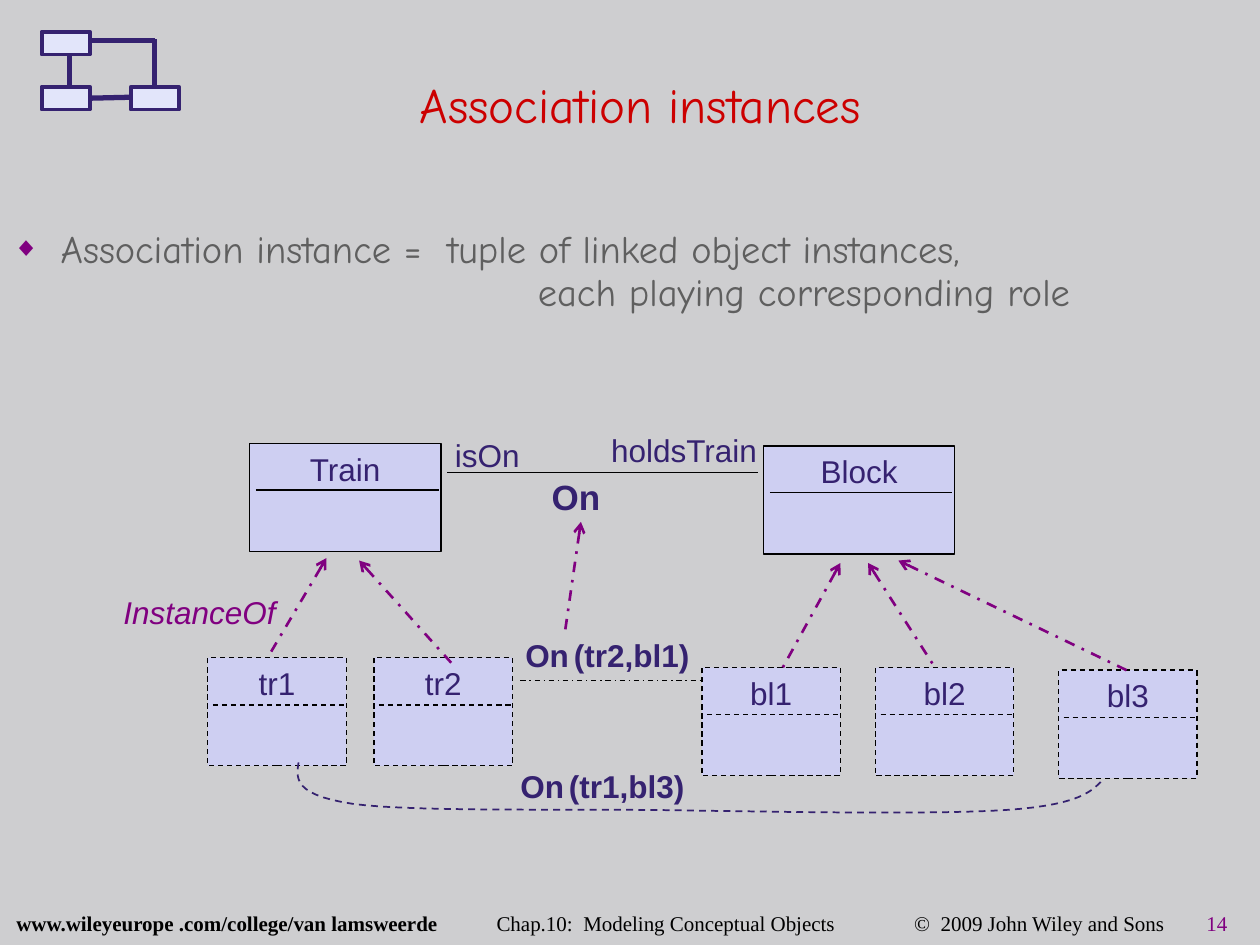
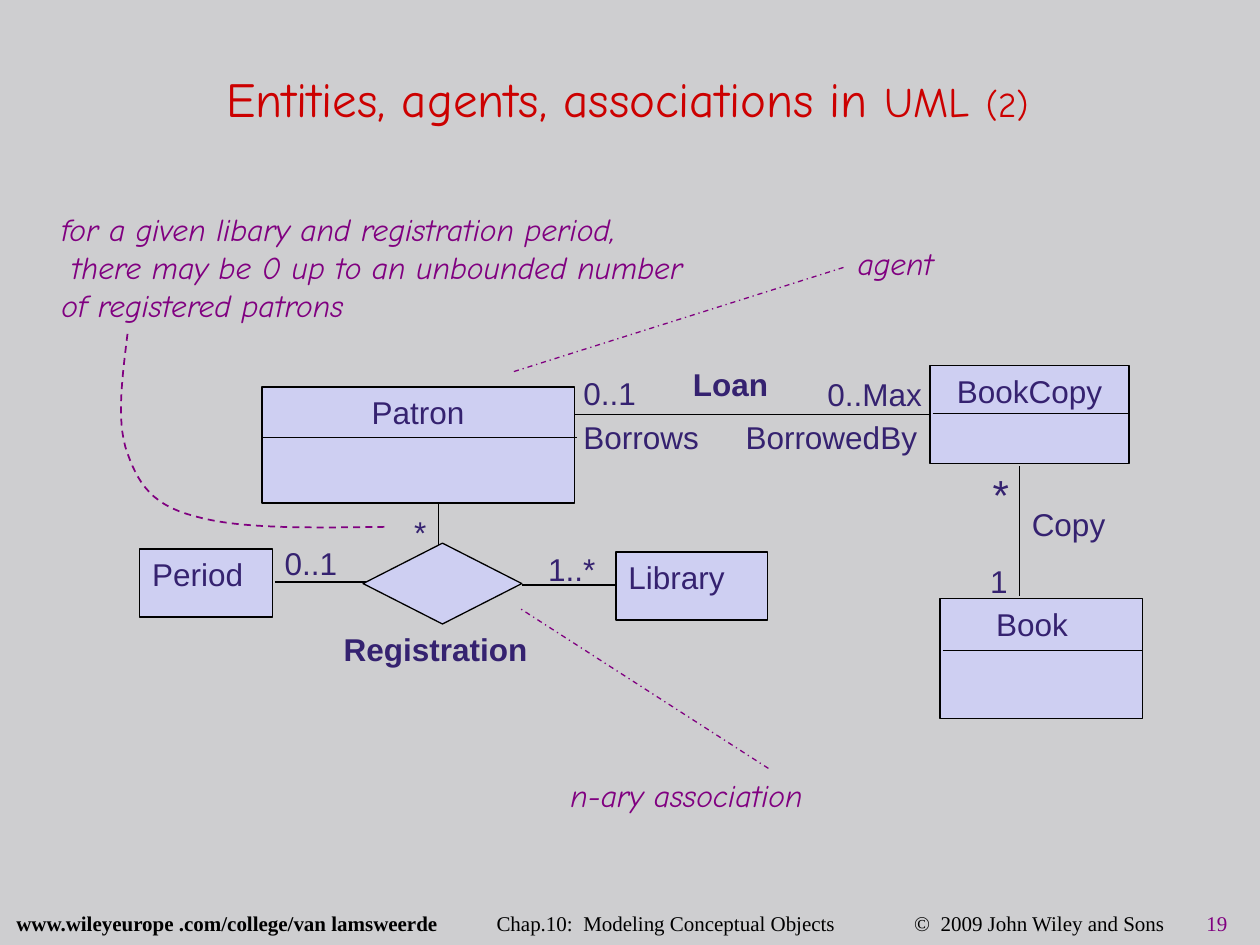
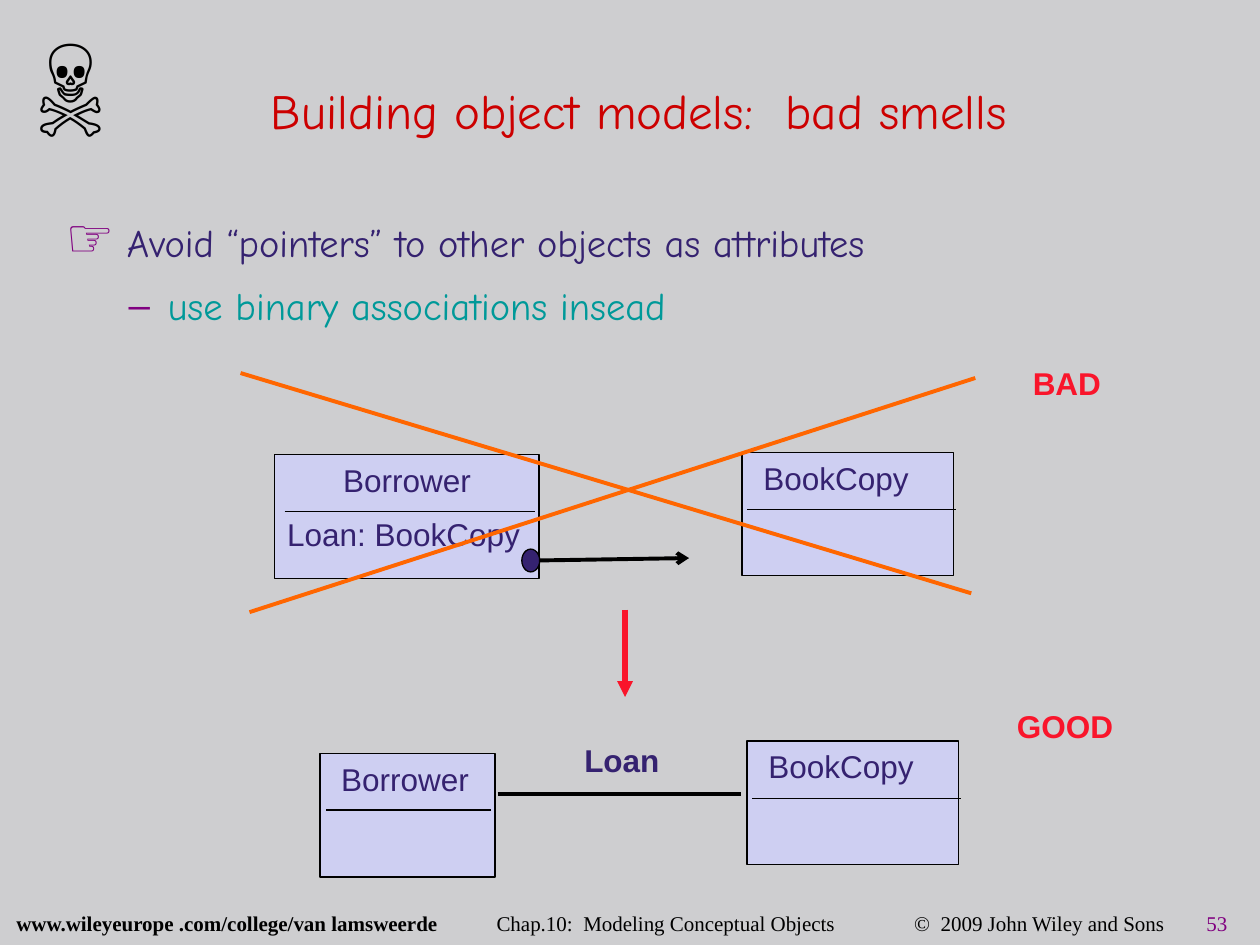
import pptx
import pptx.dml.color
import pptx.enum.dml
import pptx.enum.shapes
import pptx.enum.text
import pptx.oxml
import pptx.oxml.ns
import pptx.util

COLORS = {
    "background": "CECED0", "title": "CC0000", "ink": "352270", "box": "CECFF2",
    "icon": "E2E5FA", "accent": "800080", "grey": "5F5F5F", "teal": "009999",
    "cross": "FF6600", "alert": "F9152B", "black": "000000",
}
DIAGRAM, HAND, SERIF = "Arial", "Comic Neue", "Times New Roman"
FOOTER_TABS = (9.68, 18.1, 23.99)
SHAPES = pptx.enum.shapes.MSO_SHAPE
DASH = pptx.enum.dml.MSO_LINE.DASH
DASH_DOT = pptx.enum.dml.MSO_LINE.DASH_DOT
CENTER = pptx.enum.text.PP_ALIGN.CENTER
MIDDLE = pptx.enum.text.MSO_ANCHOR.MIDDLE
TOP = pptx.enum.text.MSO_ANCHOR.TOP


def cm(*values):
    return [pptx.util.Cm(value) for value in values]


def color(name):
    return pptx.dml.color.RGBColor.from_string(COLORS[name])


def add_element(parent, tag, **attributes):
    element = pptx.oxml.ns.qn("a:" + tag)
    child = parent.makeelement(element, attributes)
    parent.append(child)
    return child


# Text
def add_run(paragraph, text, size=18, font=DIAGRAM, ink="ink", bold=False, italic=False):
    run = paragraph.add_run()
    run.text = text
    run.font.size = pptx.util.Pt(size)
    run.font.name = font
    run.font.color.rgb = color(ink)
    run.font.bold = bold
    run.font.italic = italic


def set_indent(paragraph, left, first=0):
    properties = paragraph._p.get_or_add_pPr()
    properties.set("marL", str(pptx.util.Cm(left)))
    properties.set("indent", str(pptx.util.Cm(first)))


def set_bullet(paragraph, char=None, percent=100):
    properties = paragraph._p.get_or_add_pPr()
    if char is None:
        add_element(properties, "buNone")
        return
    add_element(add_element(properties, "buClr"), "srgbClr", val=COLORS["accent"])
    add_element(properties, "buSzPct", val=str(percent * 1000))
    add_element(properties, "buChar", char=char)


def set_spacing(paragraph, lines, before=0):
    paragraph.line_spacing = lines
    paragraph.space_before = pptx.util.Pt(before)


def add_text_area(slide, left, top, width, height):
    frame = slide.shapes.add_textbox(*cm(left, top, width, height)).text_frame
    frame.word_wrap = True
    return frame


def add_label(slide, left, top, width, *pieces, **style):
    """Each piece is a string or a (string, size) pair."""
    frame = add_text_area(slide, left, top, width, 1.15)
    frame.margin_right = 0
    for piece in pieces:
        text, size = piece if isinstance(piece, tuple) else (piece, style.get("size", 18))
        add_run(frame.paragraphs[0], text, **{**style, "size": size})


def place_placeholder(placeholder, left, top, width, height):
    placeholder.left, placeholder.top, placeholder.width, placeholder.height = cm(
        left, top, width, height)
    frame = placeholder.text_frame
    frame.auto_size = pptx.enum.text.MSO_AUTO_SIZE.NONE
    frame.vertical_anchor = MIDDLE
    return frame


def set_title(slide, area, *pieces, lines=1.0):
    heading = place_placeholder(slide.shapes.title, *area).paragraphs[0]
    heading.alignment = CENTER
    heading.line_spacing = lines
    for text, size in pieces:
        add_run(heading, text, size, HAND, "title")


# Shapes and lines
def style_line(line, ink="black", weight=0.75, dash=None):
    line.color.rgb = color(ink)
    line.width = pptx.util.Pt(weight)
    if dash:
        line.dash_style = dash


def add_box(slide, left, top, width, height, kind=SHAPES.RECTANGLE, fill="box", **line):
    box = slide.shapes.add_shape(kind, *cm(left, top, width, height))
    box.shadow.inherit = False
    box.fill.solid()
    box.fill.fore_color.rgb = color(fill)
    style_line(box.line, **line)
    box.text_frame.vertical_anchor = TOP
    return box


def add_link(slide, x1, y1, x2, y2, head=None, tail=None, **line):
    link = slide.shapes.add_connector(
        pptx.enum.shapes.MSO_CONNECTOR.STRAIGHT, *cm(x1, y1, x2, y2))
    style_line(link.line, **line)
    outline = link.line._get_or_add_ln()
    for end, arrow in (("headEnd", head), ("tailEnd", tail)):
        if arrow:
            add_element(outline, end, type=arrow)
    add_element(link._element.spPr, "effectLst")


def add_class(slide, left, top, width, height, name, divider=None, indent=None,
              attribute=None, dash=None):
    """divider is (distance from top, left inset, right inset);
    a name with an indent is left aligned, otherwise it is centred."""
    frame = add_box(slide, left, top, width, height, dash=dash).text_frame
    heading = frame.paragraphs[0]
    heading.alignment = CENTER if indent is None else pptx.enum.text.PP_ALIGN.LEFT
    set_indent(heading, indent or 0)
    add_run(heading, name)
    if attribute:
        entry = frame.add_paragraph()
        entry.alignment = pptx.enum.text.PP_ALIGN.LEFT
        entry.space_before = pptx.util.Pt(9)
        add_run(entry, attribute)
    if divider:
        drop, inset_left, inset_right = divider
        add_link(slide, left + inset_left, top + drop,
                 left + width - inset_right, top + drop, dash=dash)


def add_curve(slide, start, segments, steps=14, **line):
    """Draw cubic segments, each given as two control points and an end."""
    points, (x0, y0) = [], start
    for x1, y1, x2, y2, x3, y3 in segments:
        for step in range(1, steps + 1):
            t = step / steps
            weights = ((1 - t) ** 3, 3 * t * (1 - t) ** 2, 3 * t * t * (1 - t), t ** 3)
            points.append(cm(sum(w * x for w, x in zip(weights, (x0, x1, x2, x3))),
                             sum(w * y for w, y in zip(weights, (y0, y1, y2, y3)))))
        x0, y0 = x3, y3
    builder = slide.shapes.build_freeform(*cm(*start))
    builder.add_line_segments(points, close=False)
    curve = builder.convert_to_shape()
    curve.shadow.inherit = False
    curve.fill.background()
    style_line(curve.line, **line)


def add_footer(slide, number):
    footer = add_text_area(slide, 0.08, 18.36, 25.32, 0.61).paragraphs[0]
    tabs = add_element(footer._p.get_or_add_pPr(), "tabLst")
    for position in FOOTER_TABS:
        add_element(tabs, "tab", pos=str(pptx.util.Cm(position)), algn="l")
    set_spacing(footer, 0.7)
    add_run(footer, "www.wileyeurope .com/college/van lamsweerde", 12, SERIF, "black", bold=True)
    add_run(footer, "\tChap.10:  Modeling Conceptual Objects", 12, SERIF, "black")
    add_run(footer, "\t©  2009 John Wiley and Sons\t", 12, SERIF, "black")
    add_run(footer, str(number), 12, SERIF, "accent")


def new_slide(deck, layout, number):
    slide = deck.slides.add_slide(deck.slide_layouts[layout])
    add_footer(slide, number)
    return slide


# Slide: association instances
def add_model_icon(slide):
    for left, top in ((0.84, 0.64), (2.64, 1.75), (0.84, 1.75)):
        add_box(slide, left, top, 0.97, 0.46, fill="icon", ink="ink", weight=2.25)
    for ends in ((1.78, 1.98, 2.64, 1.96), (3.12, 1.73, 3.12, 0.79),
                 (1.83, 0.81, 3.12, 0.81), (1.4, 1.78, 1.4, 1.07)):
        add_link(slide, *ends, ink="ink", weight=3)


def build_instances(deck):
    slide = new_slide(deck, 1, 14)
    set_title(slide, (0.89, 1.04, 24.03, 2.11), ("Association instances", 28))
    body = place_placeholder(slide.placeholders[1], 0, 3.1, 24.23, 4.19)
    definition = body.paragraphs[0]
    set_indent(definition, 0.97, -0.97)
    set_bullet(definition, "◆", 70)
    set_spacing(definition, 1.5)
    add_run(definition, "Association instance =  tuple of linked object instances,",
            22, HAND, "grey")
    roles = body.add_paragraph()
    roles.level = 1
    set_indent(roles, 10.59)
    set_bullet(roles)
    set_spacing(roles, 0.7, 5.5)
    add_run(roles, "each playing corresponding role", 22, HAND, "grey")

    # Objects and the links between them
    for name, left, top in (("tr1", 4.19, 13.26), ("tr2", 7.54, 13.26), ("bl1", 14.15, 13.46),
                            ("bl2", 17.65, 13.46), ("bl3", 21.34, 13.51)):
        add_class(slide, left, top, 2.79, 2.18, name, (0.95, 0.1, 0.03), dash=DASH)
    add_link(slide, 10.49, 13.72, 14.12, 13.72, dash=DASH_DOT)
    add_curve(slide, (6.02, 15.37), (
        (5.97, 15.7, 5.92, 16.03, 7.14, 16.21), (8.33, 16.36, 11.07, 16.31, 13.26, 16.33),
        (15.44, 16.36, 18.77, 16.43, 20.27, 16.33), (21.77, 16.23, 22.02, 15.95, 22.25, 15.7),
    ), ink="ink", weight=1, dash=DASH)
    for left, top, members in ((10.34, 12.7, "(tr2,bl1)"), (10.24, 15.34, "(tr1,bl3)")):
        add_label(slide, left, top, 4.09, "On", (" ", 10), members, bold=True)

    # Classes and their association
    for name, left, top in (("Train", 5.03, 8.94), ("Block", 15.39, 8.99)):
        add_class(slide, left, top, 3.86, 2.18, name, (0.94, 0.13, 0.05))
    add_link(slide, 9.02, 9.53, 15.29, 9.53)
    add_label(slide, 10.87, 9.47, 1.75, "On", size=20, bold=True)
    add_label(slide, 8.92, 8.66, 1.98, "isOn")
    add_label(slide, 12.07, 8.56, 3.68, "holdsTrain")

    # Instance-of arrows, from class to object
    for ends in ((6.58, 11.25, 5.44, 13.18), (7.24, 11.3, 9.14, 13.41),
                 (18.11, 11.3, 22.71, 13.51), (17.5, 11.35, 18.87, 13.49),
                 (16.94, 11.35, 15.75, 13.51), (11.71, 10.52, 11.38, 12.8)):
        add_link(slide, *ends, head="arrow", ink="accent", weight=1.5, dash=DASH_DOT)
    add_label(slide, 2.24, 11.84, 4.04, "InstanceOf", ink="accent", italic=True)
    add_model_icon(slide)


# Slide: entities, agents, associations
def build_uml(deck):
    slide = new_slide(deck, 5, 19)
    set_title(slide, (0.43, 0.84, 24.43, 2.26), ("Entities, agents, associations in ", 28),
              ("UML", 24), (" ", 28), ("(2)", 20))

    # Associations
    for ends in ((10.52, 11.79, 12.55, 11.79), (5.54, 11.73, 7.57, 11.73),
                 (8.84, 9.17, 8.84, 11.15), (20.55, 9.4, 20.55, 12.01),
                 (11.53, 8.36, 18.72, 8.36)):
        add_link(slide, *ends)
    add_box(slide, 7.32, 10.95, 3.2, 1.63, SHAPES.FLOWCHART_DECISION)

    # Classes
    add_class(slide, 18.75, 7.37, 4.01, 1.98, "BookCopy", (0.97, 0.05, -0.02))
    add_class(slide, 18.95, 12.07, 4.09, 2.41, "Book", (1.04, 0.05, 0), indent=0.88)
    add_class(slide, 5.28, 7.8, 6.3, 2.34, "Patron", (1.02, 0, -0.05))
    add_class(slide, 12.42, 11.13, 3.05, 1.37, "Library", indent=0)
    add_class(slide, 2.82, 11.07, 2.67, 1.37, "Period", indent=0)

    # Names, roles and multiplicities
    for text, left, top, width in (
            ("Copy", 20.55, 10.06, 2.54), ("BorrowedBy", 14.78, 8.31, 4.11),
            ("Borrows", 11.51, 8.31, 3.33), ("1", 19.71, 11.2, 1.4),
            ("0..1", 11.51, 7.42, 1.57), ("0..Max", 16.43, 7.44, 2.69),
            ("0..1", 5.49, 10.85, 1.57), ("1..*", 10.8, 10.97, 1.57),
            ("*", 8.1, 10.21, 0.94)):
        add_label(slide, left, top, width, text)
    add_label(slide, 19.76, 9.32, 1.4, "*", size=24)
    add_label(slide, 13.72, 7.24, 2.13, "Loan", bold=True)
    add_label(slide, 6.68, 12.57, 4.34, "Registration", bold=True)

    # Annotations
    remark = {"font": HAND, "ink": "accent", "italic": True}
    add_label(slide, 11.25, 15.52, 6.38, "n-ary association", **remark)
    add_label(slide, 17.04, 4.8, 2.44, "agent", **remark)
    note = add_text_area(slide, 0.99, 4.11, 13.79, 2.21)
    for number, (text, indent) in enumerate((
            ("for a given libary and registration period,", 0),
            ("there may be 0 up to an unbounded number", 0.2),
            ("of registered patrons", 0))):
        sentence = note.add_paragraph() if number else note.paragraphs[0]
        set_indent(sentence, indent)
        add_run(sentence, text, **remark)
    for ends in ((15.49, 15.49, 10.49, 12.27), (10.36, 7.49, 17.04, 5.38)):
        add_link(slide, *ends, ink="accent", dash=DASH_DOT)
    add_curve(slide, (2.57, 6.73), (
        (2.46, 7.65, 2.34, 8.53, 2.57, 9.14), (2.79, 9.75, 3.07, 10.19, 3.94, 10.41),
        (4.83, 10.67, 6.32, 10.64, 7.82, 10.62)), ink="accent", weight=1, dash=DASH)


# Slide: bad smells
def build_bad_smells(deck):
    slide = new_slide(deck, 1, 53)
    set_title(slide, (0.86, 1.04, 24.03, 2.11),
              ("Building object models:  bad smells", 28), lines=1.2)
    body = place_placeholder(slide.placeholders[1], 1.07, 3.84, 20.27, 2.9)
    advice = body.paragraphs[0]
    set_indent(advice, 0.97, -0.97)
    set_bullet(advice)
    set_spacing(advice, 1.1)
    add_run(advice, "☞", 31, ink="accent", bold=True)
    add_run(advice, " Avoid “pointers” to other objects as attributes", 22, HAND)
    remedy = body.add_paragraph()
    remedy.level = 1
    set_indent(remedy, 2.06, -0.79)
    set_bullet(remedy, "–")
    set_spacing(remedy, 1.1, 5.5)
    add_run(remedy, "use binary associations insead", 22, HAND, "teal")

    # Good model
    add_link(slide, 10.03, 16, 14.94, 16, weight=2.25)
    add_class(slide, 6.45, 15.19, 3.53, 2.49, "Borrower", (1.14, 0.13, 0.08), indent=0.18)
    add_label(slide, 11.53, 14.81, 2.79, "Loan", bold=True)

    # Bad model with its pointer
    add_class(slide, 5.54, 9.17, 5.33, 2.49, "Borrower", (1.14, 0.2, 0.08), 
              attribute="Loan: BookCopy")
    for left, top in ((14.96, 9.12), (15.06, 14.94)):
        add_class(slide, left, top, 4.27, 2.49, "BookCopy", (1.15, 0.1, -0.05), indent=0.18)
    add_link(slide, 10.74, 11.3, 13.89, 11.25, tail="arrow", weight=2.25)
    add_box(slide, 10.52, 11.07, 0.36, 0.46, SHAPES.OVAL, fill="ink")

    # Cross, step to the good model and verdicts
    for ends in ((5.03, 12.34, 19.66, 7.62), (19.58, 11.96, 4.85, 7.52)):
        add_link(slide, *ends, ink="cross", weight=2.25)
    add_link(slide, 12.6, 12.29, 12.6, 14.05, tail="triangle", ink="alert", weight=3)
    for verdict, left, top in (("BAD", 20.57, 7.21), ("GOOD", 20.25, 14.12)):
        add_label(slide, left, top, 2.7, verdict, ink="alert", bold=True)

    # Warning sign
    warning = add_text_area(slide, 0.3, 0.1, 2.24, 2.77)
    warning.vertical_anchor = MIDDLE
    sign = warning.paragraphs[0]
    sign.alignment = CENTER
    set_spacing(sign, 1.1)
    add_run(sign, "☠", 54, ink="black")


def main():
    deck = pptx.Presentation()
    deck.slide_width, deck.slide_height = cm(25.4, 19.05)
    backdrop = deck.slide_master.background.fill
    backdrop.solid()
    backdrop.fore_color.rgb = color("background")
    build_instances(deck)
    build_uml(deck)
    build_bad_smells(deck)
    deck.save("out.pptx")


if __name__ == "__main__":
    main()
